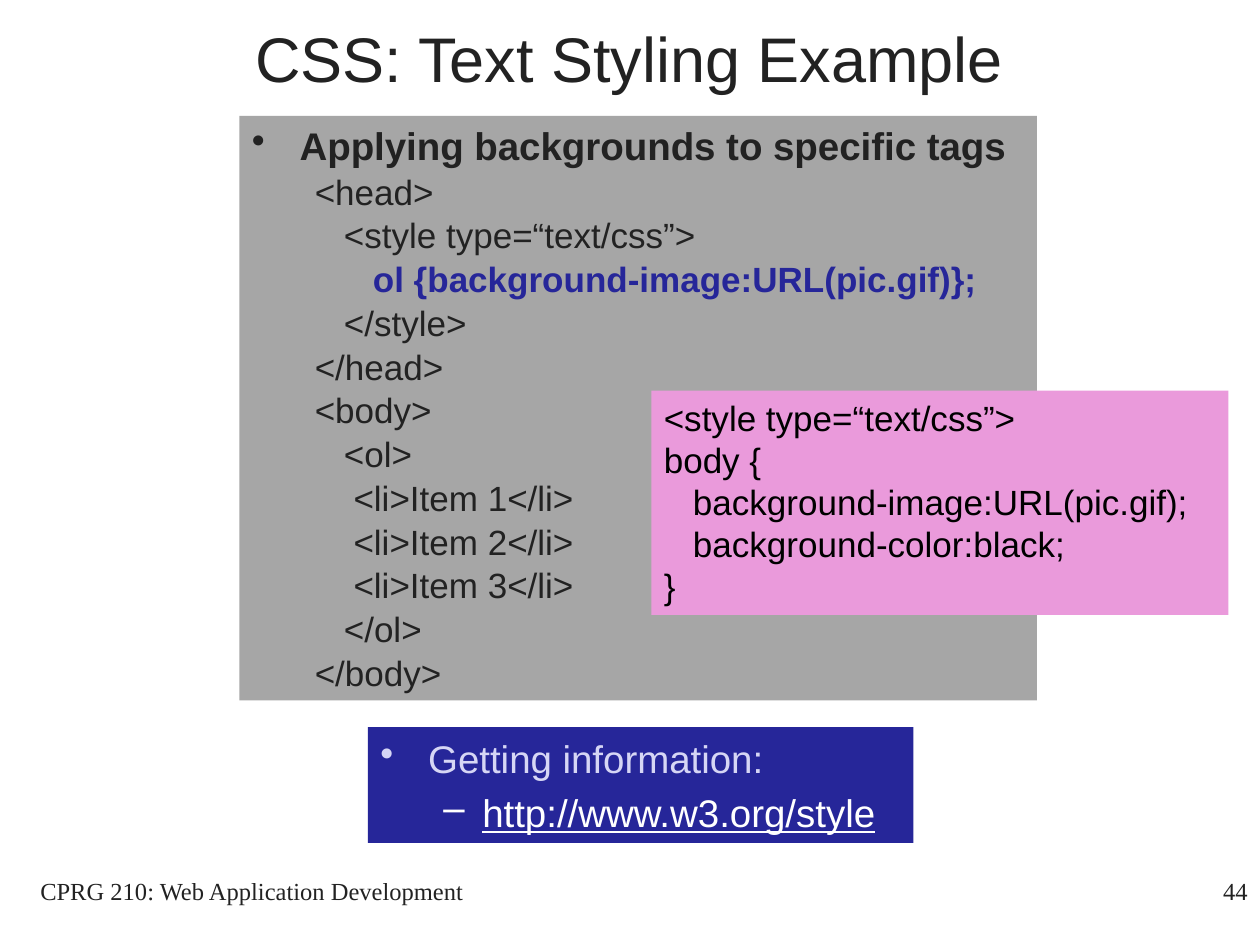
"""Build the CSS text styling example slide."""
import pptx
import pptx.dml.color
import pptx.enum.shapes
import pptx.enum.text
import pptx.oxml
import pptx.oxml.ns
import pptx.util

Inches, Pt = pptx.util.Inches, pptx.util.Pt
ALIGN, ANCHOR = pptx.enum.text.PP_ALIGN, pptx.enum.text.MSO_ANCHOR

THEME = {
    "sans": "Arial", "serif": "Times New Roman",
    "ink": "222222", "black": "000000", "white": "FFFFFF", "navy": "262699",
    "lavender": "D6D6F5", "gray": "A6A6A6", "pink": "EA9ADB",
    "title": 36, "heading": 22, "code": 20, "footer": 14,
}
SPACE_WIDTH = 0.077

TITLE = "CSS: Text Styling Example"
COURSE = "CPRG 210: Web Application Development"
PAGE = "44"
INFO_HEADING = "Getting information:"
INFO_LINK = "http://www.w3.org/style"
EXAMPLE_HEADING = "Applying backgrounds to specific tags"
HIGHLIGHT = "ol {background-image:URL(pic.gif)};"
EXAMPLE_CODE = [
    (0, "<head>"),
    (3, "<style type=“text/css”>"),
    (6, HIGHLIGHT),
    (3, "</style>"),
    (0, "</head>"),
    (0, "<body>"),
    (3, "<ol>"),
    (4, "<li>Item 1</li>"),
    (4, "<li>Item 2</li>"),
    (4, "<li>Item 3</li>"),
    (3, "</ol>"),
    (0, "</body>"),
]
BODY_CODE = [
    (0, "<style type=“text/css”>"),
    (0, "body {"),
    (3, "background-image:URL(pic.gif);"),
    (3, "background-color:black;"),
    (0, "}"),
]


def rgb(name):
    return pptx.dml.color.RGBColor.from_string(THEME[name])


def add_line(frame, text, size, color="ink", face="sans", align=ALIGN.LEFT,
             bold=False, underline=False, margin=0, hang=0, bullet=None,
             before=0, pitch=None):
    first = frame.paragraphs[0]
    line = frame.add_paragraph() if first.runs else first
    line.add_run().text = text
    line.alignment = align
    line.space_before = Pt(before)
    if pitch:
        line.line_spacing = Pt(pitch)
    font = line.font
    font.name, font.size = THEME[face], Pt(THEME[size])
    font.bold, font.underline = bold, underline
    font.color.rgb = rgb(color)
    properties = line._p.get_or_add_pPr()
    properties.set("marL", str(Inches(margin)))
    properties.set("indent", str(-Inches(hang)))
    if bullet:
        mark = pptx.oxml.parse_xml(
            f'<a:buChar {pptx.oxml.ns.nsdecls("a")} char="{bullet}"/>')
        properties.find(pptx.oxml.ns.qn("a:defRPr")).addprevious(mark)


def add_label(slide, place, text, size, anchor=ANCHOR.TOP, **style):
    frame = slide.shapes.add_textbox(*map(Inches, place)).text_frame
    frame.word_wrap = True
    frame.vertical_anchor = anchor
    add_line(frame, text, size, **style)


def add_panel(slide, place, fill, anchor=ANCHOR.TOP):
    panel = slide.shapes.add_shape(
        pptx.enum.shapes.MSO_SHAPE.RECTANGLE, *map(Inches, place))
    panel.shadow.inherit = False
    panel.fill.solid()
    panel.fill.fore_color.rgb = rgb(fill)
    panel.line.fill.background()
    panel.text_frame.word_wrap = True
    panel.text_frame.vertical_anchor = anchor
    return panel.text_frame


def main():
    deck = pptx.Presentation()
    deck.slide_width, deck.slide_height = Inches(10), Inches(7.5)
    slide = deck.slides.add_slide(deck.slide_layouts[6])

    add_label(slide, (0.58, -0.17, 8.83, 1.25), TITLE, "title",
              anchor=ANCHOR.MIDDLE, align=ALIGN.CENTER)
    add_label(slide, (7.92, 6.9, 2.08, 0.5), PAGE, "footer",
              face="serif", align=ALIGN.RIGHT)
    add_label(slide, (0, 6.9, 4, 0.5), COURSE, "footer",
              face="serif", align=ALIGN.CENTER)

    heading = {"margin": 0.38, "hang": 0.38, "bullet": "•", "before": 4.4}
    info = add_panel(slide, (2.92, 5.77, 4.33, 0.92), "navy", ANCHOR.MIDDLE)
    add_line(info, INFO_HEADING, "heading", "lavender", **heading)
    add_line(info, INFO_LINK, "heading", "white", underline=True,
             margin=0.81, hang=0.31, bullet="–", before=4.4)

    example = add_panel(slide, (1.9, 0.92, 6.33, 4.64), "gray")
    add_line(example, EXAMPLE_HEADING, "heading", bold=True, **heading)
    for depth, code in EXAMPLE_CODE:
        special = code == HIGHLIGHT
        add_line(example, code, "code", "navy" if special else "ink",
                 bold=special, margin=0.5 + depth * SPACE_WIDTH,
                 before=1, pitch=24)

    body = add_panel(slide, (5.17, 3.1, 4.58, 1.78), "pink")
    for depth, code in BODY_CODE:
        add_line(body, code, "code", "black", margin=depth * SPACE_WIDTH,
                 pitch=24)

    deck.save("out.pptx")


if __name__ == "__main__":
    main()
